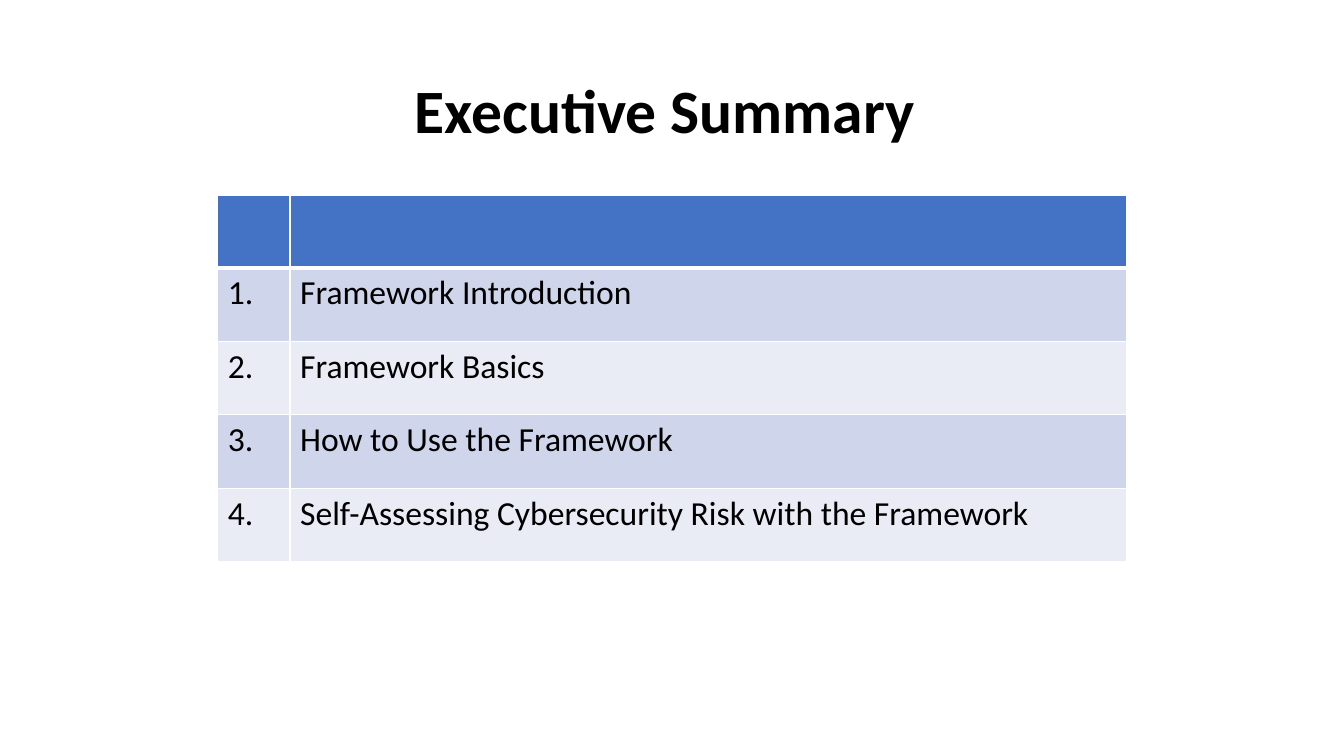
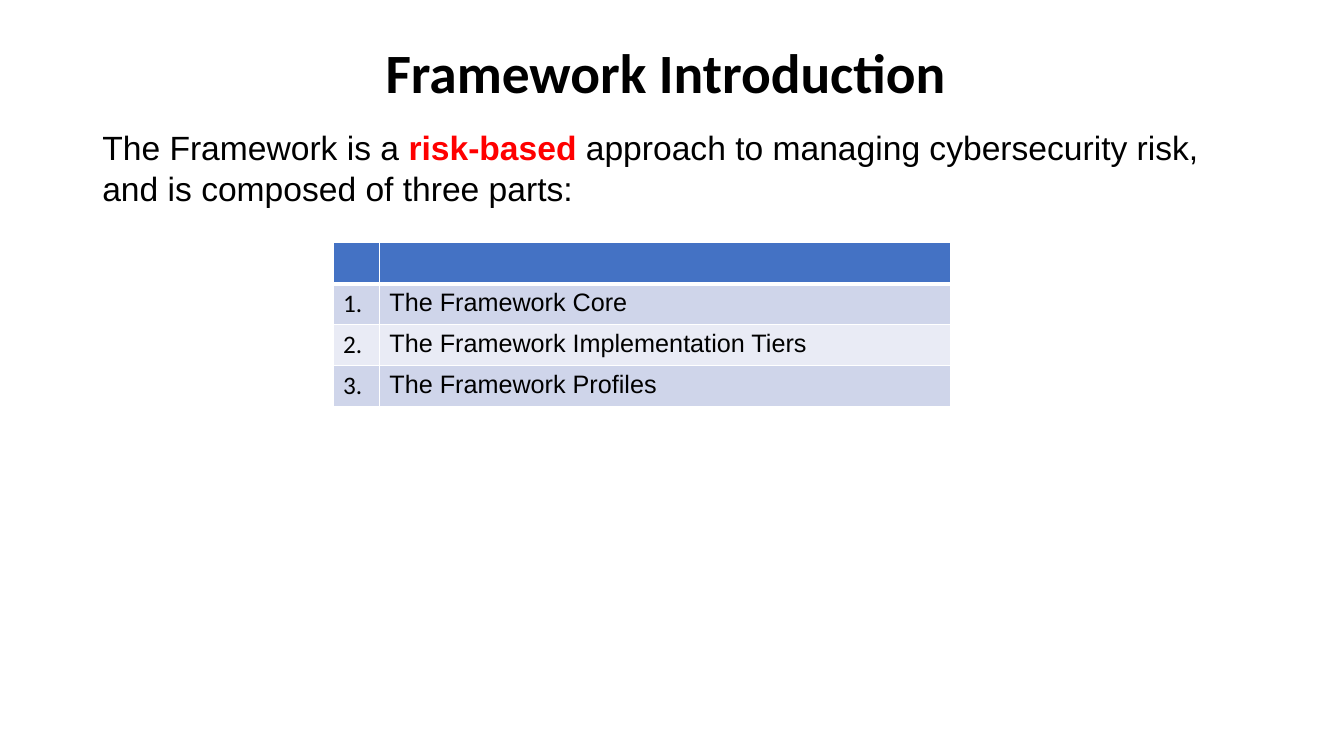
import pptx
import pptx.dml.color
import pptx.enum.text
import pptx.oxml
import pptx.oxml.ns
import pptx.util

Cm = pptx.util.Cm
Pt = pptx.util.Pt
rgb = pptx.dml.color.RGBColor.from_string

WHITE, BLACK, RED = "FFFFFF", "000000", "FF0000"
HEADER = "4472C4"
BANDS = ["CFD5EA", "E9EBF5"]
TITLE_LEFT, TITLE_TOP, TITLE_WIDTH = Cm(2.33), Cm(1.02), Cm(29.21)

pages = [
    {
        "title": "Executive Summary ",
        "title_size": 44,
        "title_height": 3.68,
        "table_at": (5.49, 4.93),
        "columns": (1.82, 21.09),
        "header_height": 1.82,
        "row_height": 1.85,
        "text_size": 24,
        "item_font": "Calibri",
        "items": [
            "Framework Introduction",
            "Framework Basics",
            "How to Use the Framework",
            "Self-Assessing Cybersecurity Risk with the Framework",
        ],
    },
    {
        "title": "Framework Introduction ",
        "title_size": 39.6,
        "title_height": 1.78,
        "title_fill": WHITE,
        "intro": [
            ("The Framework is a ", BLACK, False),
            ("risk-based", RED, True),
            (" approach to managing cybersecurity risk, and is composed of three parts:", BLACK, False),
        ],
        "table_at": (8.39, 6.12),
        "columns": (1.17, 14.4),
        "header_height": 1.03,
        "row_height": 1.03,
        "text_size": 18,
        "item_font": "Arial",
        "items": [
            "The Framework Core",
            "The Framework Implementation Tiers",
            "The Framework Profiles",
        ],
    },
]


def add_span(para, text, name, size, color=BLACK, bold=False):
    """Append a formatted run to a paragraph."""
    span = para.add_run()
    span.text = text
    for key, value in {"name": name, "size": Pt(size), "bold": bold}.items():
        setattr(span.font, key, value)
    span.font.color.rgb = rgb(color)


def paint_cell(cell, color, top_width, bottom_width):
    """Fill a cell and give it white borders."""
    cell.fill.solid()
    cell.fill.fore_color.rgb = rgb(color)
    properties = cell._tc.get_or_add_tcPr()
    widths = {"lnL": 1, "lnR": 1, "lnT": top_width, "lnB": bottom_width}
    for position, (side, width) in enumerate(widths.items()):
        properties.insert(position, pptx.oxml.parse_xml(
            f'<a:{side} {pptx.oxml.ns.nsdecls("a")} w="{Pt(width)}"><a:solidFill>'
            f'<a:srgbClr val="{WHITE}"/></a:solidFill></a:{side}>'))


deck = pptx.Presentation()
deck.slide_width, deck.slide_height = Cm(33.87), Cm(19.05)

for content in pages:
    page = deck.slides.add_slide(deck.slide_layouts[5])

    title = page.shapes.title
    title.left, title.top, title.width = TITLE_LEFT, TITLE_TOP, TITLE_WIDTH
    title.height = Cm(content["title_height"])
    if "title_fill" in content:
        title.fill.solid()
        title.fill.fore_color.rgb = rgb(content["title_fill"])
    frame = title.text_frame
    frame.auto_size = pptx.enum.text.MSO_AUTO_SIZE.NONE
    frame.vertical_anchor = pptx.enum.text.MSO_ANCHOR.MIDDLE
    para = frame.paragraphs[0]
    para.alignment = pptx.enum.text.PP_ALIGN.CENTER
    para.line_spacing = 0.9
    add_span(para, content["title"], "Calibri", content["title_size"], bold=True)

    if "intro" in content:
        box = page.shapes.add_textbox(TITLE_LEFT, Cm(3.08), Cm(28.27), Cm(2.31))
        box.text_frame.word_wrap = True
        box.text_frame.auto_size = pptx.enum.text.MSO_AUTO_SIZE.SHAPE_TO_FIT_TEXT
        for text, color, bold in content["intro"]:
            add_span(box.text_frame.paragraphs[0], text, "Arial", 24, color, bold)

    left, top = content["table_at"]
    heights = [content["header_height"]] + [content["row_height"]] * len(content["items"])
    table = page.shapes.add_table(
        len(heights), 2, Cm(left), Cm(top),
        Cm(sum(content["columns"])), Cm(sum(heights))).table
    for column, width in zip(table.columns, content["columns"]):
        column.width = Cm(width)
    for row, height in zip(table.rows, heights):
        row.height = Cm(height)

    for cell in table.rows[0].cells:
        paint_cell(cell, HEADER, 1, 3)
    for number, item in enumerate(content["items"], start=1):
        entries = [(f"{number}.", "Calibri"), (item, content["item_font"])]
        for cell, (text, name) in zip(table.rows[number].cells, entries):
            paint_cell(cell, BANDS[(number - 1) % 2], 3 if number == 1 else 1, 1)
            add_span(cell.text_frame.paragraphs[0], text, name, content["text_size"])

deck.save("out.pptx")
